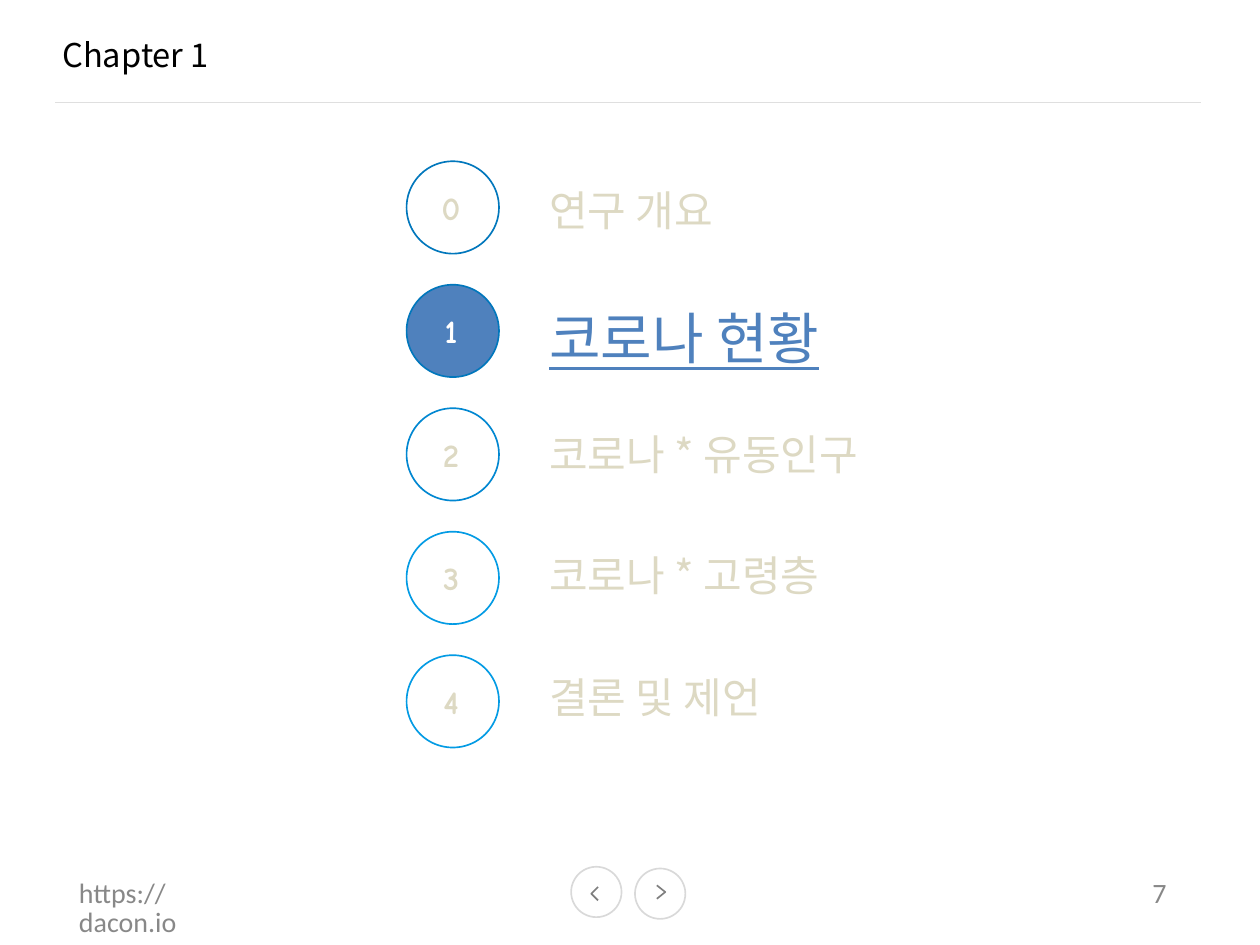
from dataclasses import dataclass

import pptx
import pptx.dml.color
import pptx.enum.shapes
import pptx.enum.text
import pptx.oxml.ns
import pptx.util
from lxml import etree

Inches = pptx.util.Inches
Pt = pptx.util.Pt
SANS = "Noto Sans CJK KR"
MUTED, ACCENT = "DDD9C3", "4F81BD"
HAIRLINE = 0.72
SLIDE_WIDTH = 7.5
SLIDE_HEIGHT = SLIDE_WIDTH * 3 / 4
CIRCLE_LEFT, CIRCLE_TOP, CIRCLE_SIZE = 2.42, 0.96, 0.55
CIRCLE_PITCH = (3.9 - CIRCLE_TOP) / 4


@dataclass
class Chapter:
    label: str
    outline: str
    label_top: float
    current: bool = False


@dataclass
class NavButton:
    left: float
    top: float
    chevron: list[tuple[float, float]]


CHAPTERS = [
    Chapter("연구 개요", "0177BC", 1.05),
    Chapter("코로나 현황", "0177BC", 1.76, current=True),
    Chapter("코로나 * 유동인구", "0187D1", 2.5),
    Chapter("코로나 * 고령층", "039BE4", 3.22),
    Chapter("결론 및 제언", "039BE4", 3.95),
]
NAV_BUTTONS = [
    NavButton(3.4, 5.16, [(3.56, 5.28), (3.52, 5.32), (3.56, 5.36)]),
    NavButton(3.78, 5.17, [(3.91, 5.27), (3.96, 5.31), (3.91, 5.35)]),
]


def rgb(color: str) -> pptx.dml.color.RGBColor:
    return pptx.dml.color.RGBColor.from_string(color)


def style_line(shape, color: str) -> None:
    shape.line.color.rgb = rgb(color)
    shape.line.width = Pt(HAIRLINE)


def style_runs(paragraph, size: float, font: str, color: str) -> None:
    for run in paragraph.runs:
        run.font.size = Pt(size)
        run.font.name = font
        run.font.color.rgb = rgb(color)
        east_asian = etree.SubElement(run.font._element, pptx.oxml.ns.qn("a:ea"))
        east_asian.set("typeface", font)


def set_insets(frame, left: float, top: float, right: float, bottom: float) -> None:
    frame.margin_left, frame.margin_top = Inches(left), Inches(top)
    frame.margin_right, frame.margin_bottom = Inches(right), Inches(bottom)


def add_text(slide, left: float, top: float, width: float, height: float, text: str):
    frame = slide.shapes.add_textbox(
        Inches(left), Inches(top), Inches(width), Inches(height)).text_frame
    frame.word_wrap = True
    frame.text = text
    return frame


def add_circle(slide, left: float, top: float, size: float, outline: str):
    circle = slide.shapes.add_shape(
        pptx.enum.shapes.MSO_SHAPE.OVAL,
        Inches(left), Inches(top), Inches(size), Inches(size))
    circle.shadow.inherit = False
    circle.fill.background()
    style_line(circle, outline)
    return circle


def add_header(slide) -> None:
    title = slide.shapes.title
    title.left, title.top = Inches(0.35), Inches(0.2)
    title.width, title.height = Inches(1.22), Inches(0.25)
    frame = title.text_frame
    frame.text = "Chapter 1"
    frame.auto_size = pptx.enum.text.MSO_AUTO_SIZE.NONE
    frame.vertical_anchor = pptx.enum.text.MSO_ANCHOR.TOP
    set_insets(frame, 0.02, 0.01, 0, 0)
    frame.paragraphs[0].alignment = pptx.enum.text.PP_ALIGN.LEFT
    style_runs(frame.paragraphs[0], 14, SANS, "000000")

    rule = slide.shapes.add_connector(
        pptx.enum.shapes.MSO_CONNECTOR.STRAIGHT,
        Inches(0.33), Inches(0.61), Inches(7.15), Inches(0.61))
    style_line(rule, "DFDFDF")
    etree.SubElement(rule._element.spPr, pptx.oxml.ns.qn("a:effectLst"))


def add_chapter(slide, number: int, chapter: Chapter) -> None:
    # Numbered circle
    circle = add_circle(slide, CIRCLE_LEFT, CIRCLE_TOP + number * CIRCLE_PITCH,
                        CIRCLE_SIZE, chapter.outline)
    if chapter.current:
        circle.fill.solid()
        circle.fill.fore_color.rgb = rgb(ACCENT)
    frame = circle.text_frame
    frame.text = str(number)
    frame.vertical_anchor = pptx.enum.text.MSO_ANCHOR.MIDDLE
    set_insets(frame, 0, 0, 0.02, 0)
    digit = frame.paragraphs[0]
    digit.alignment = pptx.enum.text.PP_ALIGN.CENTER
    style_runs(digit, 14, "Comic Neue", "FFFFFF" if chapter.current else MUTED)
    digit.runs[0].font.bold = True

    # Chapter name
    name = add_text(slide, 3.17, chapter.label_top, 2.32,
                    0.5 if chapter.current else 0.4, chapter.label).paragraphs[0]
    style_runs(name, 24 if chapter.current else 18, SANS,
               ACCENT if chapter.current else MUTED)
    if chapter.current:
        name.runs[0].font.underline = True


def add_nav_button(slide, button: NavButton) -> None:
    add_circle(slide, button.left, button.top, 0.3, "D9D9D9")
    points = [(Inches(x), Inches(y)) for x, y in button.chevron]
    builder = slide.shapes.build_freeform(*points[0])
    builder.add_line_segments(points[1:], close=False)
    chevron = builder.convert_to_shape()
    chevron.shadow.inherit = False
    chevron.fill.background()
    style_line(chevron, "7E7E7E")


def add_footer_text(slide, left: float, width: float, text: str) -> None:
    frame = add_text(slide, left, 5.24, width, 0.19, text)
    set_insets(frame, 0, 0, 0, 0)
    frame.paragraphs[0].line_spacing = Pt(12.4)
    style_runs(frame.paragraphs[0], 12, "Calibri", "888888")


def main() -> None:
    presentation = pptx.Presentation()
    presentation.slide_width = Inches(SLIDE_WIDTH)
    presentation.slide_height = Inches(SLIDE_HEIGHT)
    slide = presentation.slides.add_slide(presentation.slide_layouts[5])

    # Header
    add_header(slide)

    # Chapter list
    for number, chapter in enumerate(CHAPTERS):
        add_chapter(slide, number, chapter)

    # Footer
    for button in NAV_BUTTONS:
        add_nav_button(slide, button)
    add_footer_text(slide, 0.47, 1.05, "https://dacon.io")
    add_footer_text(slide, 6.86, 0.2, "7")

    presentation.save("out.pptx")


if __name__ == "__main__":
    main()
